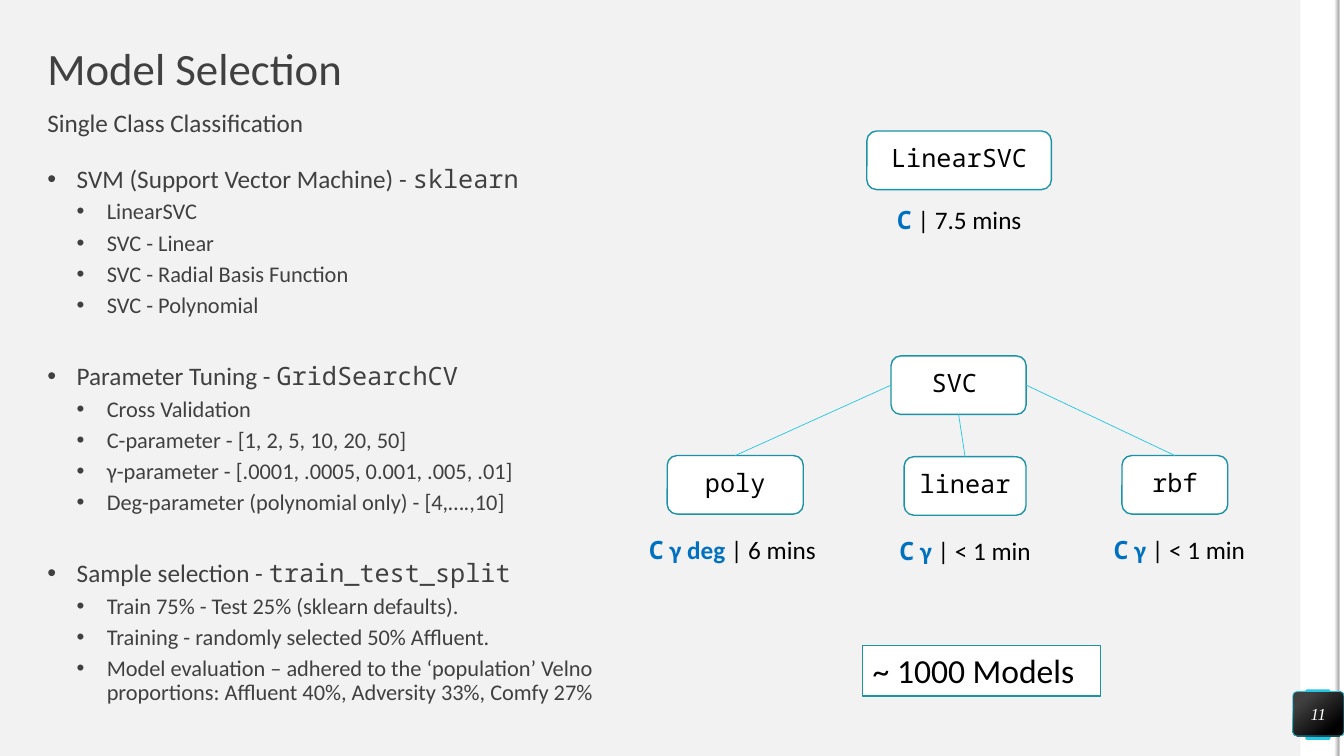
from lxml import etree
from pptx import Presentation
from pptx.dml.color import RGBColor
from pptx.enum import shapes, text
from pptx.oxml import ns
from pptx.util import Pt

SANS, MONO, SERIF = "Calibri", "Noto Sans Mono", "Times New Roman"
WHITE = RGBColor(0xFF, 0xFF, 0xFF)
BLACK = RGBColor(0, 0, 0)
PAPER = RGBColor(0xF2, 0xF2, 0xF2)
GREY = RGBColor(0xA6, 0xA6, 0xA6)
CHARCOAL = RGBColor(0x40, 0x40, 0x40)
CYAN = RGBColor(0x25, 0xC6, 0xE3)
TEAL = RGBColor(0x1B, 0x92, 0xA8)
BLUE = RGBColor(0x00, 0x70, 0xC0)

RECT = shapes.MSO_SHAPE.RECTANGLE
ROUND = shapes.MSO_SHAPE.ROUNDED_RECTANGLE
LEFT, CENTER = text.PP_ALIGN.LEFT, text.PP_ALIGN.CENTER
TOP, MIDDLE = text.MSO_ANCHOR.TOP, text.MSO_ANCHOR.MIDDLE

OUTLINE = [
    ("SVM (Support Vector Machine) - ", "sklearn",
     ["LinearSVC", "SVC - Linear", "SVC - Radial Basis Function",
      "SVC - Polynomial"]),
    ("Parameter Tuning - ", "GridSearchCV",
     ["Cross Validation", "C-parameter - [1, 2, 5, 10, 20, 50]",
      "γ-parameter - [.0001, .0005, 0.001, .005, .01]",
      "Deg-parameter (polynomial only) - [4,….,10]"]),
    ("Sample selection - ", "train_test_split",
     ["Train 75% - Test 25% (sklearn defaults).",
      "Training - randomly selected 50% Affluent.",
      "Model evaluation – adhered to the ‘population’ Velno "
      "proportions: Affluent 40%, Adversity 33%, Comfy 27%"]),
]


def write(para, words, size=18, font=SANS, color=BLACK, bold=False, italic=False):
    """Add one formatted span to a paragraph."""
    span = para.add_run()
    span.text = words
    span.font.size, span.font.name = Pt(size), font
    span.font.bold, span.font.italic = bold, italic
    span.font.color.rgb = color


def prepare(frame, margins=(0, 0, 0, 0), anchor=TOP, align=LEFT):
    """Set up a text frame and return its first paragraph."""
    frame.word_wrap = True
    frame.vertical_anchor = anchor
    (frame.margin_left, frame.margin_top,
     frame.margin_right, frame.margin_bottom) = map(Pt, margins)
    para = frame.paragraphs[0]
    para.alignment = align
    return para


def add_text_box(page, bounds, **layout):
    """Add a text box and return its frame and first paragraph."""
    frame = page.shapes.add_textbox(*map(Pt, bounds)).text_frame
    return frame, prepare(frame, **layout)


def add_panel(page, kind, bounds, fill=WHITE, line=None, width=1, corner=None):
    """Add a flat preset shape."""
    panel = page.shapes.add_shape(kind, *map(Pt, bounds))
    panel.shadow.inherit = False
    panel.fill.solid()
    panel.fill.fore_color.rgb = fill
    if line is None:
        panel.line.fill.background()
    else:
        panel.line.color.rgb, panel.line.width = line, Pt(width)
    if corner is not None:
        panel.adjustments[0] = corner
    return panel


def shade(panel, angle, *stops):
    """Fill a shape with a two-colour gradient."""
    panel.fill.gradient()
    panel.fill.gradient_angle = angle
    for stop, (position, color) in zip(panel.fill.gradient_stops, stops):
        stop.position, stop.color.rgb = position, color


def add_node(page, name, bounds, right=0):
    """Add a model box with its monospaced name."""
    node = add_panel(page, ROUND, bounds, line=TEAL)
    para = prepare(node.text_frame, (0, 0, right, 4), MIDDLE, CENTER)
    write(para, name, font=MONO)
    return node


def add_cost(page, center, top, others, duration):
    """Add the tuned parameters and running time below a model."""
    para = add_text_box(page, (center - 86, top, 172, 33),
                        margins=(0, 3.6, 0, 3.6), align=CENTER)[1]
    write(para, "C", font=MONO, color=BLUE, bold=True)
    if others:
        write(para, f" {others}", color=BLUE, bold=True)
    write(para, f" | {duration}")


def add_link(page, parent, side, child):
    """Join a side of the parent to the top of the child."""
    link = page.shapes.add_connector(shapes.MSO_CONNECTOR.STRAIGHT, 0, 0, 0, 0)
    link.begin_connect(parent, side)
    link.end_connect(child, 0)
    link.line.color.rgb, link.line.width = CYAN, Pt(0.5)
    etree.SubElement(link.element.spPr, ns.qn("a:effectLst"))


def format_bullet(para, left, hanging, before):
    """Give a paragraph a hanging bullet and its spacing."""
    para.line_spacing, para.space_before = 0.9, Pt(before)
    props = para._p.get_or_add_pPr()
    props.set("marL", str(Pt(left)))
    props.set("indent", str(-Pt(hanging)))
    etree.SubElement(props, ns.qn("a:buFont")).set("typeface", "Arial")
    etree.SubElement(props, ns.qn("a:buChar")).set("char", "•")


def add_outline(page):
    """Add the bulleted sections on the left."""
    frame, para = add_text_box(page, (33.8, 118.8, 430.6, 368.6))
    for index, (heading, code, items) in enumerate(OUTLINE):
        if index:
            para = frame.add_paragraph()
        format_bullet(para, 21, 21, 32.4 if index else 10)
        write(para, heading, color=CHARCOAL)
        write(para, code, font=MONO, color=CHARCOAL)
        for item in items:
            para = frame.add_paragraph()
            format_bullet(para, 42.5, 21.5, 5)
            write(para, item, size=16, color=CHARCOAL)


def add_edge(page):
    """Add the right-hand strip and the page number."""
    add_panel(page, RECT, (928.8, 0, 31.2, 540))
    add_panel(page, ROUND, (932.4, 492.5, 18, 36), fill=CYAN, corner=0.07)
    shade(add_panel(page, RECT, (953, 0, 3.6, 540)), 0, (0, WHITE), (1, GREY))
    badge = add_panel(page, ROUND, (923.4, 494, 36.6, 31.8),
                      line=CYAN, width=0.5, corner=0.1)
    shade(badge, 310, (0.2, CHARCOAL), (0.82, BLACK))
    write(prepare(badge.text_frame, anchor=MIDDLE, align=CENTER), "11",
          size=12, font=SERIF, color=WHITE, italic=True)


def add_headings(page):
    """Fill the title and add the subtitle."""
    title = page.shapes.title
    title.left, title.top, title.width, title.height = map(Pt, (33.8, 33.8, 430.6, 33.8))
    para = prepare(title.text_frame, anchor=MIDDLE)
    para.line_spacing = 0.9
    write(para, "Model Selection", size=32, color=CHARCOAL)
    para = add_text_box(page, (33.8, 79.2, 430.6, 28))[1]
    para.line_spacing, para.space_before = 0.9, Pt(10)
    write(para, "Single Class Classification", color=CHARCOAL)


def add_models(page):
    """Add the model tree, its costs and the total."""
    add_node(page, "LinearSVC", (619.2, 93.6, 131.8, 41.8))
    svc = add_node(page, "SVC", (636.5, 254.2, 96.5, 41.8), right=6)
    poly = add_node(page, "poly", (476.6, 325.4, 97.2, 41.8))
    linear = add_node(page, "linear", (645.8, 326.2, 87.1, 41.8))
    rbf = add_node(page, "rbf", (801.4, 325.4, 75.6, 41.8))
    for side, child in ((1, poly), (3, rbf), (2, linear)):
        add_link(page, svc, side, child)
    add_cost(page, 685.1, 142.6, "", "7.5 mins")
    add_cost(page, 523.1, 378, "γ deg", "6 mins")
    add_cost(page, 689.4, 378.7, "γ", "< 1 min")
    add_cost(page, 842.4, 378, "γ", "< 1 min")
    total = add_panel(page, RECT, (616.3, 460.8, 169.9, 36.4), line=TEAL, width=0.75)
    write(prepare(total.text_frame, (7.2, 3.6, 7.2, 3.6)), "~ 1000 Models", size=24)


def main():
    """Build and save the slide."""
    deck = Presentation()
    deck.slide_width, deck.slide_height = Pt(960), Pt(540)
    page = deck.slides.add_slide(deck.slide_layouts[5])
    page.background.fill.solid()
    page.background.fill.fore_color.rgb = PAPER
    add_edge(page)
    add_headings(page)
    add_outline(page)
    add_models(page)
    deck.save("out.pptx")


if __name__ == "__main__":
    main()
